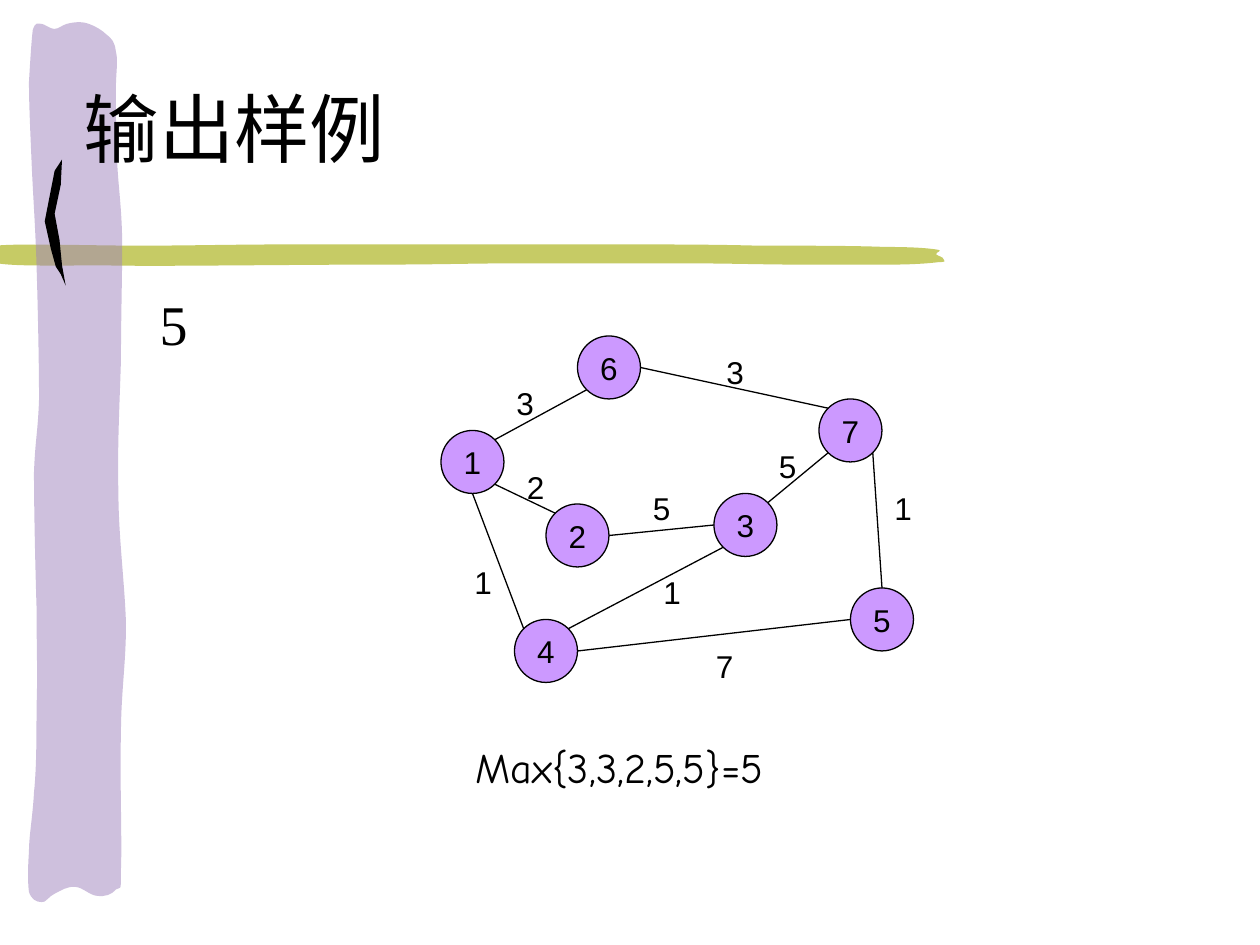
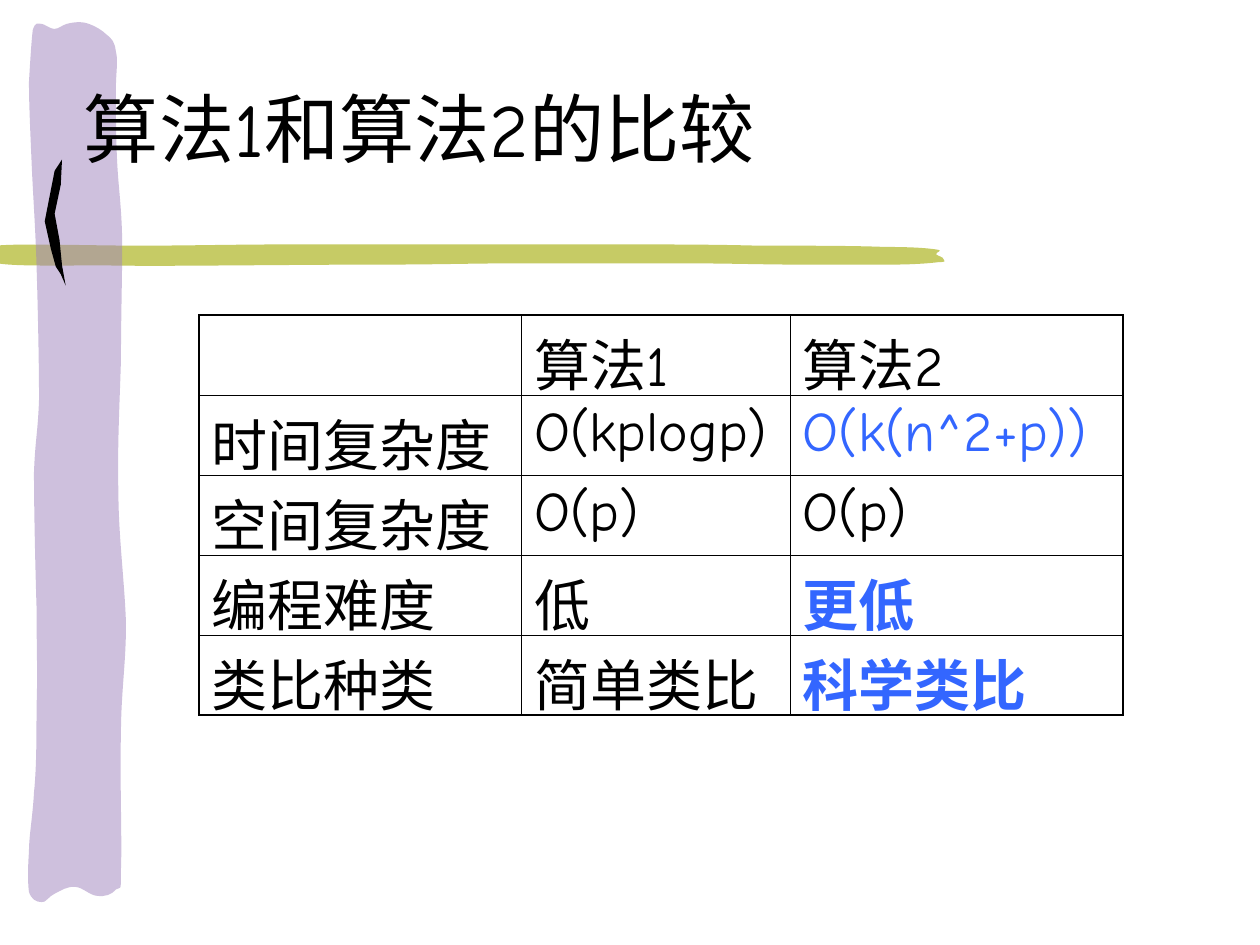
from dataclasses import dataclass

from lxml.etree import SubElement
from pptx import Presentation
from pptx.dml.color import RGBColor
from pptx.enum.shapes import MSO_CONNECTOR, MSO_SHAPE
from pptx.enum.text import MSO_ANCHOR, MSO_AUTO_SIZE, PP_ALIGN
from pptx.oxml.ns import qn
from pptx.util import Inches, Pt

# Slide grid: 120 columns by 90 rows, twelve to the inch
COLS, ROWS = 120, 90
UNIT = Inches(10) / COLS


@dataclass(frozen=True)
class Theme:
    ink: str = "000000"
    olive: str = "C6CB65"
    lilac: str = "9F83BD"
    node: str = "CC99FF"
    accent: str = "3366FF"
    display: str = "Comic Neue"
    serif: str = "Times New Roman"
    sans: str = "Arial"
    title: int = 43
    body: int = 32
    caption: int = 24
    label: int = 18
    hairline: float = 0.45
    frame: float = 1.08
    stroke: float = 0.75


@dataclass(frozen=True)
class Box:
    """A region in grid columns and rows."""
    x: float
    y: float
    w: float
    h: float

    def inner(self, x, y, w, h):
        return Box(self.x + x, self.y + y, w, h)

    def emu(self):
        return [round(v * UNIT) for v in (self.x, self.y, self.w, self.h)]


T = Theme()

TITLE = Box(6.8, 7.2, 112.8, 9.8)
ANSWER = Box(14, 27, 7, 54)
GRAPH = Box(42, 32, 45, 33)
CAPTION = Box(24, 70, 70, 6)
TABLE = Box(18.96, 30, 88, 38.1)

# Brush outlines in hundredths of an inch: a start, then three points per curve
BAND = [
    (601, 195), (636, 195), (678, 195), (702, 196), (725, 196), (736, 197), (743, 198),
    (750, 199), (742, 200), (743, 202), (744, 203), (749, 204), (749, 206),
    (749, 207), (752, 208), (745, 208), (738, 209), (724, 210), (706, 210),
    (688, 210), (663, 210), (635, 210), (608, 210), (577, 209), (541, 209),
    (504, 209), (455, 209), (414, 209), (374, 209), (349, 210), (298, 210),
    (248, 210), (162, 211), (111, 211), (61, 210), (16, 212), (-2, 209),
    (-2, 209), (-3, 195), (-3, 195), (16, 193), (72, 195), (111, 195),
    (151, 195), (185, 194), (232, 194), (278, 194), (348, 194), (391, 194),
    (434, 194), (455, 194), (489, 194), (524, 194), (566, 194), (601, 195),
]
COLUMN = [
    (29, 561), (30, 537), (29, 512), (29, 481), (28, 450), (27, 403), (27, 375),
    (28, 348), (30, 344), (31, 317), (31, 289), (30, 242), (29, 210),
    (28, 178), (26, 152), (25, 127), (24, 103), (23, 82), (23, 65),
    (24, 48), (25, 32), (26, 24), (28, 17), (30, 19), (33, 19),
    (35, 19), (40, 23), (43, 23), (47, 23), (49, 20), (53, 19),
    (57, 18), (62, 17), (67, 18), (72, 19), (80, 23), (84, 27),
    (89, 31), (91, 33), (92, 41), (94, 48), (92, 57), (92, 71),
    (92, 86), (92, 108), (93, 129), (94, 149), (97, 168), (97, 195),
    (97, 221), (96, 254), (96, 286), (95, 319), (93, 356), (94, 391),
    (94, 425), (99, 463), (100, 495), (100, 527), (96, 550), (96, 583),
    (95, 615), (97, 669), (96, 690), (96, 710), (96, 703), (92, 706),
    (89, 710), (83, 712), (77, 711), (72, 711), (65, 704), (60, 704),
    (54, 703), (48, 707), (44, 709), (39, 711), (36, 717), (33, 716),
    (29, 716), (25, 714), (23, 708), (22, 701), (22, 689), (23, 676),
    (23, 663), (26, 648), (27, 629), (29, 610), (29, 586), (29, 561),
]
CHEVRON = [(49, 127), (48, 147), (43, 170), (47, 191), (49, 211), (52, 227),
           (48, 218), (44, 212), (40, 198), (35, 176), (39, 156), (43, 136)]

# Graph: node places in the graph box, and where an edge meets a circle
NODE = 6
NODES = {"1": (0, 9), "6": (13, 0), "7": (36, 6), "2": (10, 16),
         "3": (26, 15), "4": (7, 27), "5": (39, 24)}
D = 0.5 ** 0.5
SITES = {"top": (0, -1), "bottom": (0, 1), "left": (-1, 0), "right": (1, 0),
         "tl": (-D, -D), "tr": (D, -D), "bl": (-D, D), "br": (D, D)}
# from, site, to, site, weight, place of the weight
EDGES = [
    ("1", "tr", "6", "bl", "3", (6, 4)),
    ("6", "right", "7", "tl", "3", (26, 1)),
    ("1", "br", "2", "tl", "2", (7, 12)),
    ("2", "right", "3", "left", "5", (19, 14)),
    ("3", "tr", "7", "bl", "5", (31, 10)),
    ("5", "top", "7", "br", "1", (42, 14)),
    ("1", "bottom", "4", "tl", "1", (2, 21)),
    ("4", "tr", "3", "bl", "1", (20, 22)),
    ("4", "right", "5", "left", "7", (25, 29)),
]

COMPARISON = [
    ("", "算法1", "算法2"),
    ("时间复杂度", "O(kplogp)", "O(k(n^2+p))"),
    ("空间复杂度", "O(p)", "O(p)"),
    ("编程难度", "低", "更低"),
    ("类比种类", "简单类比", "科学类比"),
]
COLUMN_SHARES = (2.56, 2.13, 2.64)
HIGHLIGHT = {(1, 2), (3, 2), (4, 2)}
BOLD = {(3, 2), (4, 2)}


def rgb(value):
    return RGBColor.from_string(value)


def write(tf, text, font, size, align=PP_ALIGN.LEFT, color=T.ink, bold=False):
    tf.text = text
    p = tf.paragraphs[0]
    p.alignment = align
    for r in p.runs:
        r.font.name, r.font.size, r.font.bold = font, Pt(size), bold
        r.font.color.rgb = rgb(color)
    return p


def place(sp, box):
    sp.left, sp.top, sp.width, sp.height = box.emu()


def text_box(slide, box, text, font, size):
    tf = slide.shapes.add_textbox(*box.emu()).text_frame
    tf.word_wrap = True
    write(tf, text, font, size, PP_ALIGN.CENTER)


def curve_path(sp):
    """Turn each three line segments of the outline into one cubic curve."""
    path = sp.element.spPr.find(".//" + qn("a:path"))
    lines = path.findall(qn("a:lnTo"))
    for i in range(0, len(lines), 3):
        curve = SubElement(path, qn("a:cubicBezTo"))
        for line in lines[i:i + 3]:
            curve.append(line[0])
            path.remove(line)
    path.append(path.find(qn("a:close")))


def brush(slide, box, outline, color, curved=True, alpha=None):
    """Fit an outline into the box and fill it."""
    xs, ys = zip(*outline)
    left, top, width, height = box.emu()
    points = [(left + (x - min(xs)) / (max(xs) - min(xs)) * width,
               top + (y - min(ys)) / (max(ys) - min(ys)) * height) for x, y in outline]
    builder = slide.shapes.build_freeform(*points[0])
    builder.add_line_segments(points[1:], close=True)
    sp = builder.convert_to_shape()
    if curved:
        curve_path(sp)
    sp.shadow.inherit = False
    sp.fill.solid()
    sp.fill.fore_color.rgb = rgb(color)
    sp.line.fill.background()
    if alpha:
        clr = sp.element.spPr.find(".//" + qn("a:srgbClr"))
        SubElement(clr, qn("a:alpha")).set("val", str(alpha * 1000))
    return sp


def decorate_master(prs, slide):
    """Draw the brush strokes once and hand them to the master."""
    strokes = [
        brush(slide, Box(-0.36, 23.16, 90.6, 2.28), BAND, T.olive),
        brush(slide, Box(2.64, 2.04, 9.36, 84), COLUMN, T.lilac, alpha=50),
        brush(slide, Box(4.26, 15.2, 2, 12), CHEVRON, T.ink, curved=False),
    ]
    tree = prs.slide_master.shapes.element
    for number, sp in enumerate(strokes, 101):
        sp.element.nvSpPr.cNvPr.set("id", str(number))
        tree.append(sp.element)


def titled_slide(prs, layout, title):
    slide = prs.slides.add_slide(prs.slide_layouts[layout])
    sp = slide.shapes.title
    place(sp, TITLE)
    sp.text_frame.vertical_anchor = MSO_ANCHOR.MIDDLE
    sp.text_frame.auto_size = MSO_AUTO_SIZE.NONE
    write(sp.text_frame, title, T.display, T.title)
    return slide


def answer(slide, box, text):
    sp = slide.placeholders[1]
    place(sp, box)
    sp.text_frame.auto_size = MSO_AUTO_SIZE.NONE
    p = write(sp.text_frame, text, T.serif, T.body, PP_ALIGN.JUSTIFY)
    p.space_before = Pt(0)
    pPr = p._p.get_or_add_pPr()
    pPr.set("marL", str(Inches(0.38)))
    pPr.set("indent", str(-Inches(0.38)))
    SubElement(pPr, qn("a:buNone"))


def graph(slide, box):
    # Nodes
    for name, (x, y) in NODES.items():
        sp = slide.shapes.add_shape(MSO_SHAPE.FLOWCHART_CONNECTOR,
                                    *box.inner(x, y, NODE, NODE).emu())
        sp.shadow.inherit = False
        sp.fill.solid()
        sp.fill.fore_color.rgb = rgb(T.node)
        sp.line.color.rgb = rgb(T.ink)
        sp.line.width = Pt(T.stroke)
        sp.text_frame.word_wrap = False
        sp.text_frame.vertical_anchor = MSO_ANCHOR.MIDDLE
        write(sp.text_frame, name, T.sans, T.label, PP_ALIGN.CENTER)

    def end(name, site):
        r = NODE / 2
        (x, y), (dx, dy) = NODES[name], SITES[site]
        return box.inner(x + r + r * dx, y + r + r * dy, 0, 0).emu()[:2]

    # Edges and their weights
    for a, a_site, b, b_site, weight, (x, y) in EDGES:
        line = slide.shapes.add_connector(MSO_CONNECTOR.STRAIGHT,
                                          *end(a, a_site), *end(b, b_site))
        line.line.color.rgb = rgb(T.ink)
        line.line.width = Pt(T.stroke)
        SubElement(line.element.spPr, qn("a:effectLst"))
        text_box(slide, box.inner(x, y, 4, 4.8), weight, T.sans, T.label)


def border(cell, sides):
    tcPr = cell._tc.get_or_add_tcPr()
    for side, width in sides.items():
        ln = SubElement(tcPr, qn("a:ln" + side), w=str(Pt(width)))
        SubElement(SubElement(ln, qn("a:solidFill")), qn("a:srgbClr"), val=T.ink)


def comparison_table(slide, box, rows):
    n, m = len(rows), len(rows[0])
    left, top, width, height = box.emu()
    table = slide.shapes.add_table(n, m, left, top, width, height).table
    table.first_row = table.horz_banding = False
    for col, share in zip(table.columns, COLUMN_SHARES):
        col.width = round(width * share / sum(COLUMN_SHARES))
    for i, row in enumerate(rows):
        table.rows[i].height = round(height / n)
        for j, text in enumerate(row):
            cell = table.cell(i, j)
            # Lets the tall line box reach past the row, which keeps its height
            cell.margin_bottom = Inches(-0.07)
            outer = {"L": j == 0, "R": j == m - 1, "T": i == 0, "B": i == n - 1}
            border(cell, {s: T.frame if o else T.hairline for s, o in outer.items()})
            cell.fill.background()
            write(cell.text_frame, text, T.display, T.body,
                  color=T.accent if (i, j) in HIGHLIGHT else T.ink, bold=(i, j) in BOLD)


def main():
    prs = Presentation()
    prs.slide_width, prs.slide_height = round(COLS * UNIT), round(ROWS * UNIT)

    # Sample output
    slide = titled_slide(prs, 1, "输出样例")
    decorate_master(prs, slide)
    answer(slide, ANSWER, "5")
    graph(slide, GRAPH)
    text_box(slide, CAPTION, "Max{3,3,2,5,5}=5", T.display, T.caption)

    # Comparison of the algorithms
    slide = titled_slide(prs, 5, "算法1和算法2的比较")
    comparison_table(slide, TABLE, COMPARISON)

    prs.save("out.pptx")


if __name__ == "__main__":
    main()
